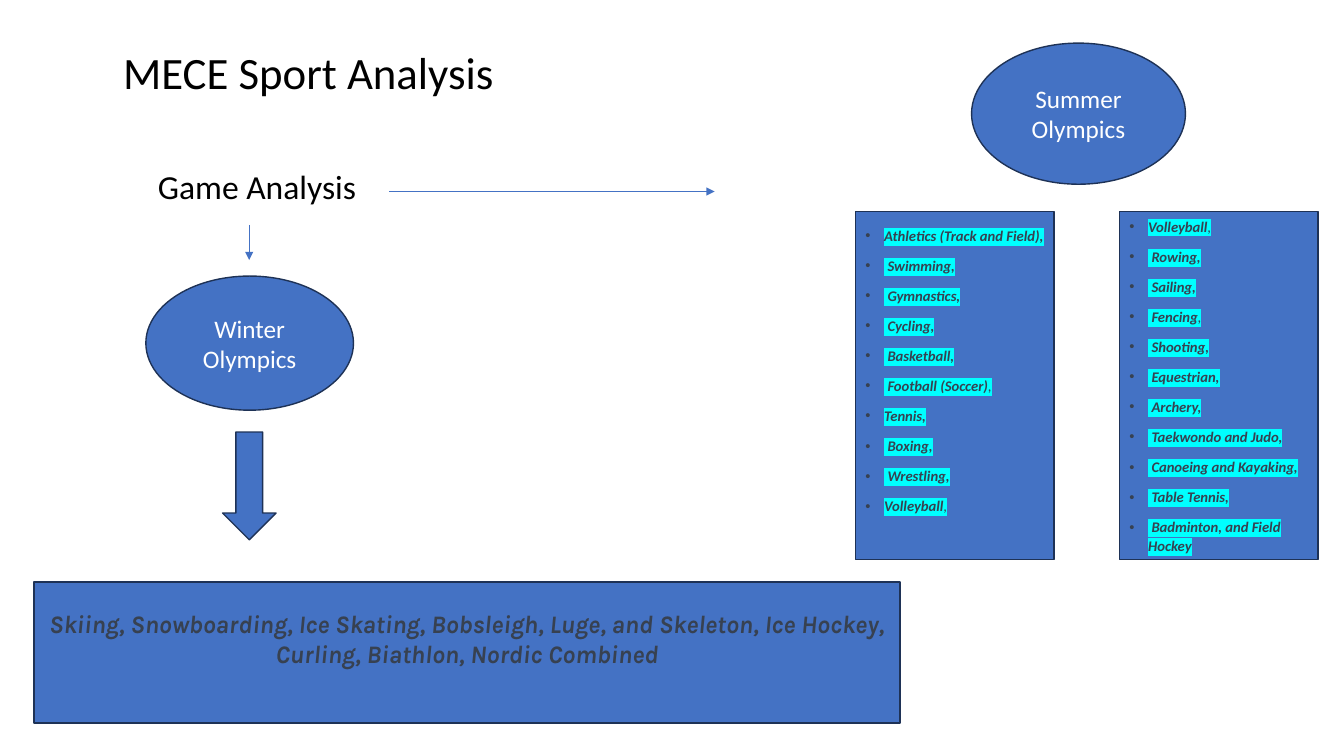
from dataclasses import dataclass
from typing import Optional

from lxml import etree
from pptx import Presentation
from pptx import util as u
from pptx.dml import color as dml
from pptx.enum import shapes, text
from pptx.oxml import ns

Pt = u.Pt
HEX = {"blue": "4472C4", "edge": "1E3256", "gray": "374151",
       "cyan": "00FFFF", "white": "FFFFFF", "black": "000000"}
KIND = shapes.MSO_SHAPE
ALIGN = text.PP_ALIGN
ANCHOR = text.MSO_ANCHOR

# A bar splits off a comma that is not bold.
SUMMER = [
    ["Athletics (Track and Field),", " Swimming,", " Gymnastics,", " Cycling,",
     " Basketball,", " Football (Soccer)|,", "Tennis,", " Boxing,",
     " Wrestling,", "Volleyball|,"],
    ["Volleyball|,", " Rowing,", " Sailing,", " Fencing|,", " Shooting,",
     " Equestrian,", " Archery,", " Taekwondo and Judo,",
     " Canoeing and Kayaking,", " Table Tennis,",
     " Badminton, and Field Hockey"],
]
WINTER = ("Skiing, Snowboarding, Ice Skating, Bobsleigh, Luge, and Skeleton, "
          "Ice Hockey, Curling, Biathlon, Nordic Combined")


@dataclass
class Box:
    """Place of an object on the slide, in points."""
    left: float
    top: float
    width: float
    height: float


def rgb(name: str) -> dml.RGBColor:
    """Look up a named colour."""
    return dml.RGBColor.from_string(HEX[name])


def child(parent, tag: str, **attrs):
    """Append a drawing element to a parent."""
    return etree.SubElement(parent, ns.qn(tag), attrs)


def write(shape, lines: list[str], size: float, color: str = "white",
          font: str = "Calibri", strong: bool = False,
          align=ALIGN.CENTER, anchor=ANCHOR.MIDDLE, inset: float = 3.6,
          space: Optional[float] = None, before: float = 0, after: float = 0,
          mark: Optional[str] = None, bullet: bool = False) -> None:
    """Fill a shape with formatted paragraphs."""
    frame = shape.text_frame
    frame.word_wrap = True
    frame.auto_size = text.MSO_AUTO_SIZE.NONE
    frame.vertical_anchor = anchor
    frame.margin_left = frame.margin_right = Pt(7.2)
    frame.margin_top = Pt(inset)
    frame.margin_bottom = Pt(0 if bullet else 3.6)
    for row, line in enumerate(lines):
        para = frame.add_paragraph() if row else frame.paragraphs[0]
        para.alignment = align
        para.space_before, para.space_after = Pt(before), Pt(after)
        if space:
            para.line_spacing = space
        if bullet:
            props = para._p.get_or_add_pPr()
            props.set("marL", str(Pt(13.5)))
            props.set("indent", str(-Pt(13.5)))
            child(props, "a:buFont", typeface="Arial")
            child(props, "a:buChar", char="•")
        for part, words in enumerate(line.split("|")):
            run = para.add_run()
            run.text = words
            face = run.font
            face.name, face.size = font, Pt(size)
            face.bold, face.italic = strong and part == 0, strong
            face.color.rgb = rgb(color)
            if mark:
                glow = etree.Element(ns.qn("a:highlight"))
                child(glow, "a:srgbClr", val=HEX[mark])
                face._element.find(ns.qn("a:latin")).addprevious(glow)


def place(shape, box: Box) -> None:
    """Move and size a shape."""
    shape.left, shape.top = Pt(box.left), Pt(box.top)
    shape.width, shape.height = Pt(box.width), Pt(box.height)


def draw(slide, kind, box: Box):
    """Add a blue preset shape with a dark edge."""
    shape = slide.shapes.add_shape(kind, 0, 0, 0, 0)
    place(shape, box)
    shape.shadow.inherit = False
    shape.fill.solid()
    shape.fill.fore_color.rgb = rgb("blue")
    shape.line.color.rgb = rgb("edge")
    shape.line.width = Pt(1)
    return shape


def arrow(slide, x: float, y: float, right: float = 0, down: float = 0) -> None:
    """Add a thin arrow from a point by an offset."""
    link = slide.shapes.add_connector(
        shapes.MSO_CONNECTOR.STRAIGHT, Pt(x), Pt(y), Pt(x + right), Pt(y + down))
    link.line.color.rgb = rgb("blue")
    link.line.width = Pt(0.5)
    child(link.line._get_or_add_ln(), "a:tailEnd", type="triangle")
    child(link._element.spPr, "a:effectLst")


deck = Presentation()
deck.slide_width, deck.slide_height = Pt(960), Pt(540)
slide = deck.slides.add_slide(deck.slide_layouts[0])

title, body = slide.placeholders
place(title, Box(16.6, 23.8, 407.5, 50.4))
write(title, ["MECE Sport Analysis"], 32, "black", anchor=ANCHOR.BOTTOM,
      space=0.9)
place(body, Box(89.3, 120.2, 188.6, 33.1))
write(body, ["Game Analysis"], 24, "black", anchor=ANCHOR.TOP,
      space=0.8, before=10)

arrow(slide, 278, 136.8, right=232.5)
arrow(slide, 178, 160.6, down=25.2)

for name, box in [("Summer", Box(694, 30.8, 152.8, 100.8)),
                  ("Winter", Box(104.2, 197.2, 148.3, 95.8))]:
    write(draw(slide, KIND.OVAL, box), [f"{name} Olympics"], 18)

for col, (games, inset) in enumerate(zip(SUMMER, (10, 3.6))):
    panel = draw(slide, KIND.RECTANGLE,
                 Box(611 + 188.6 * col, 151.2, 142, 248.6))
    write(panel, games, 10.5, "gray", strong=True, align=ALIGN.LEFT,
          anchor=ANCHOR.TOP, inset=inset, space=1.07, after=8,
          mark="cyan", bullet=True)

panel = draw(slide, KIND.RECTANGLE, Box(24.3, 415.8, 618.5, 100.8))
write(panel, [WINTER], 18, "gray", "Karla", strong=True,
      anchor=ANCHOR.TOP, inset=18.5)
draw(slide, KIND.DOWN_ARROW, Box(159, 308.6, 38.2, 77))

deck.save("out.pptx")
